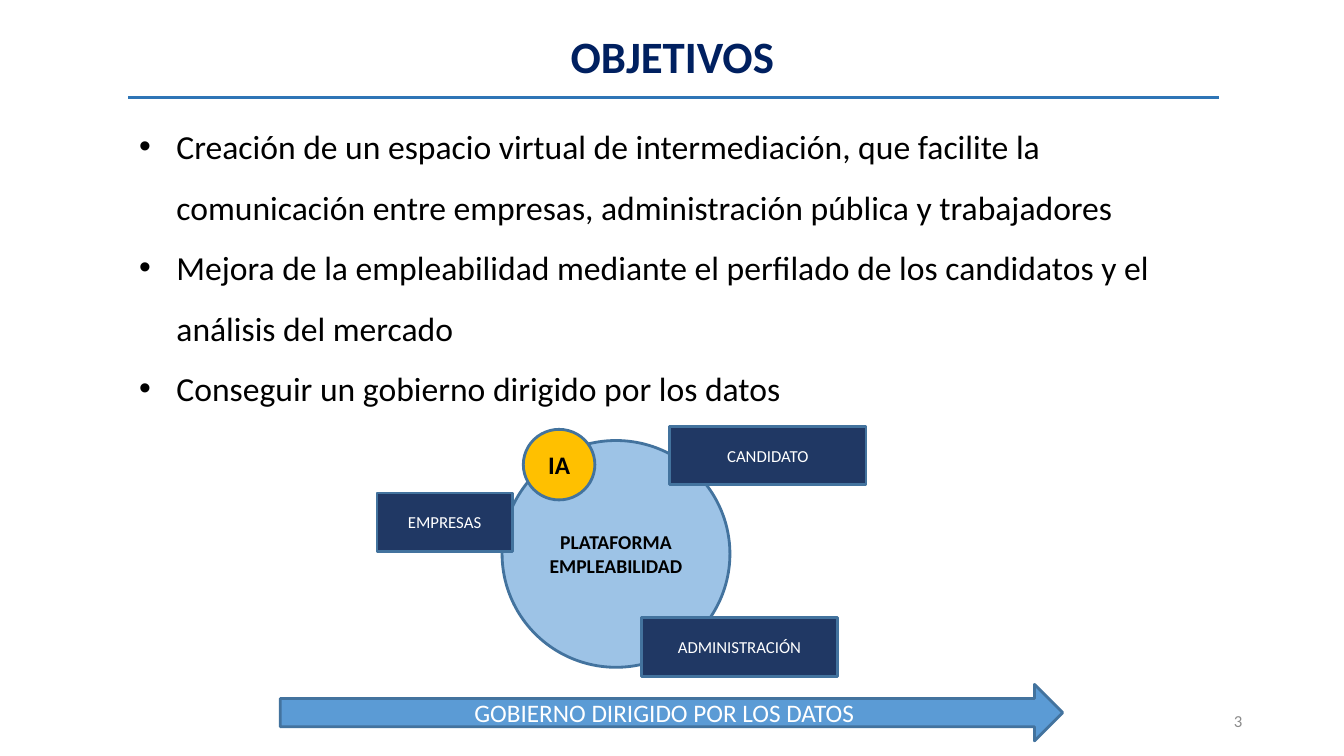
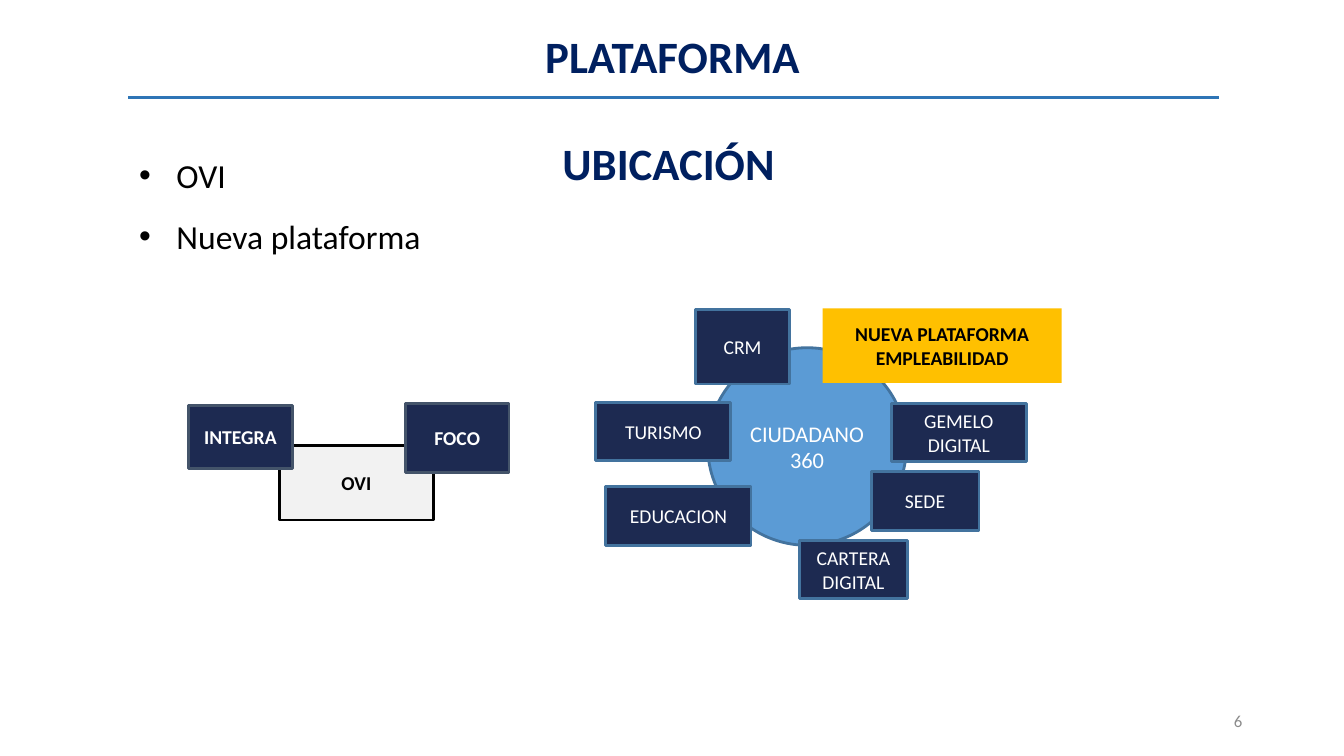
"""Build two slides on an employability platform: its goals and where it sits."""
from lxml import etree
from pptx import Presentation
from pptx import util as u
from pptx.dml.color import RGBColor
from pptx.enum import shapes, text
from pptx.oxml.ns import qn

PX = 9144
FONT = "Calibri"
COLOURS = {
    "title": "002060", "rule": "2E75B6", "number": "8B8B8B",
    "black": "000000", "white": "FFFFFF", "grey": "F2F2F2",
    "navy": "203864", "night": "1D2A51", "slate": "44546A",
    "outline": "43739E", "blue": "5B9BD5", "sky": "9DC3E6", "amber": "FFC000",
}
RECTANGLE = shapes.MSO_SHAPE.RECTANGLE
OVAL = shapes.MSO_SHAPE.OVAL
ARROW = shapes.MSO_SHAPE.RIGHT_ARROW
LEFT, CENTER, RIGHT = text.PP_ALIGN.LEFT, text.PP_ALIGN.CENTER, text.PP_ALIGN.RIGHT
TOP, MIDDLE = text.MSO_ANCHOR.TOP, text.MSO_ANCHOR.MIDDLE


def px(length):
    """Turn px into EMU."""
    return u.Emu(length * PX)


def colour(name):
    """Look up a colour by name."""
    return RGBColor.from_string(COLOURS[name])


def set_all(target, values):
    """Set every attribute named in a dict."""
    for name, value in values.items():
        setattr(target, name, value)


def place(shape, box):
    """Move and size a shape to a box in px."""
    set_all(shape, dict(zip(("left", "top", "width", "height"), map(px, box))))


def write(shape, words, size, ink, bold=False, align=CENTER, anchor=MIDDLE, **spacing):
    """Fill a shape with formatted text, one paragraph per line."""
    frame = shape.text_frame
    frame.text = words
    set_all(frame, {"word_wrap": True, "auto_size": text.MSO_AUTO_SIZE.NONE,
                    "vertical_anchor": anchor})
    for paragraph in frame.paragraphs:
        set_all(paragraph, {"alignment": align, **spacing})
        for run in paragraph.runs:
            set_all(run.font, {"name": FONT, "size": u.Pt(size), "bold": bold})
            run.font.color.rgb = colour(ink)


def add_label(slide, box, words, size, ink, **format_values):
    """Add a plain text box."""
    label = slide.shapes.add_textbox(*map(px, box))
    write(label, words, size, ink, **format_values)


def add_block(slide, kind, box, words, fill, size=14, ink="white", bold=False, line="outline"):
    """Add a filled shape with centred text and an optional outline."""
    block = slide.shapes.add_shape(kind, *map(px, box))
    block.shadow.inherit = False
    block.fill.solid()
    block.fill.fore_color.rgb = colour(fill)
    if line:
        block.line.color.rgb = colour(line)
        block.line.width = u.Pt(2)
    else:
        block.line.fill.background()
    write(block, words, size, ink, bold)


def add_rule(slide, left, right, top):
    """Add the horizontal line under the title."""
    rule = slide.shapes.add_connector(
        shapes.MSO_CONNECTOR.STRAIGHT, px(left), px(top), px(right), px(top))
    rule.line.color.rgb = colour("rule")
    rule.line.width = u.Pt(2.25)
    etree.SubElement(rule.element.spPr, qn("a:effectLst"))


def add_slide(presentation, title, number, bullets, body_box):
    """Add a slide with title, rule, bullet list and slide number."""
    slide = presentation.slides.add_slide(presentation.slide_layouts[1])
    heading, body = slide.placeholders
    place(heading, (92, 32, 1150, 53))
    write(heading, title, 32, "title", bold=True, line_spacing=0.9)
    place(body, body_box)
    write(body, "\n".join(bullets), 24, "black", align=LEFT, anchor=TOP,
          line_spacing=1.5, space_before=u.Pt(0))
    for paragraph in body.text_frame.paragraphs:
        properties = paragraph._p.get_or_add_pPr()
        properties.set("marL", str(px(38)))
        properties.set("indent", str(px(-37)))
    add_rule(slide, 127, 1209, 97)
    add_label(slide, (942, 695, 300, 40), number, 12, "number", align=RIGHT)
    return slide


def add_goals(presentation):
    """Add the slide of goals with the platform diagram."""
    slide = add_slide(presentation, "OBJETIVOS", "3", [
        "Creación de un espacio virtual de intermediación, que facilite la comunicación "
        "entre empresas, administración pública y trabajadores",
        "Mejora de la empleabilidad mediante el perfilado de los candidatos y el análisis "
        "del mercado",
        "Conseguir un gobierno dirigido por los datos",
    ], (127, 100, 1082, 370))
    add_block(slide, OVAL, (498, 437, 226, 225), "PLATAFORMA\nEMPLEABILIDAD", "sky",
              ink="black", bold=True)
    add_block(slide, OVAL, (519, 426, 71, 70), "IA", "amber", 18, "black", True)
    for words, left, top, width in (
        ("EMPRESAS", 374, 489, 134),
        ("CANDIDATO", 664, 423, 195),
        ("ADMINISTRACIÓN", 636, 613, 195),
    ):
        add_block(slide, RECTANGLE, (left, top, width, 58), words, "navy", 12)
    add_block(slide, ARROW, (278, 679, 776, 56), "GOBIERNO DIRIGIDO POR LOS DATOS", "blue", 18)


def add_location(presentation):
    """Add the slide that places the platform among the city services."""
    slide = add_slide(presentation, "PLATAFORMA", "6", ["OVI", "Nueva plataforma"],
                      (127, 129, 1082, 130))
    add_block(slide, OVAL, (702, 345, 197, 196), "CIUDADANO\n360", "blue", 16)
    add_block(slide, RECTANGLE, (277, 442, 153, 74), "OVI", "grey",
              ink="black", bold=True, line="black")
    for words, box in (("INTEGRA", (187, 402, 103, 63)), ("FOCO", (402, 400, 103, 69))):
        add_block(slide, RECTANGLE, box, words, "night", bold=True, line="slate")
    add_block(slide, RECTANGLE, (816, 306, 237, 74), "NUEVA PLATAFORMA EMPLEABILIDAD", "amber",
              ink="black", bold=True, line=None)
    for words, box in (
        ("CRM", (690, 307, 93, 74)),
        ("GEMELO DIGITAL", (884, 400, 134, 58)),
        ("SEDE", (864, 468, 107, 58)),
        ("TURISMO", (591, 399, 134, 58)),
        ("CARTERA DIGITAL", (793, 536, 107, 58)),
        ("EDUCACION", (601, 483, 144, 58)),
    ):
        add_block(slide, RECTANGLE, box, words, "night")
    add_label(slide, (548, 130, 250, 116), "UBICACIÓN", 32, "title",
              bold=True, align=LEFT, anchor=TOP)


def main():
    """Build and save the presentation."""
    presentation = Presentation()
    set_all(presentation, {"slide_width": px(1333), "slide_height": px(750)})
    add_goals(presentation)
    add_location(presentation)
    presentation.save("out.pptx")


if __name__ == "__main__":
    main()
